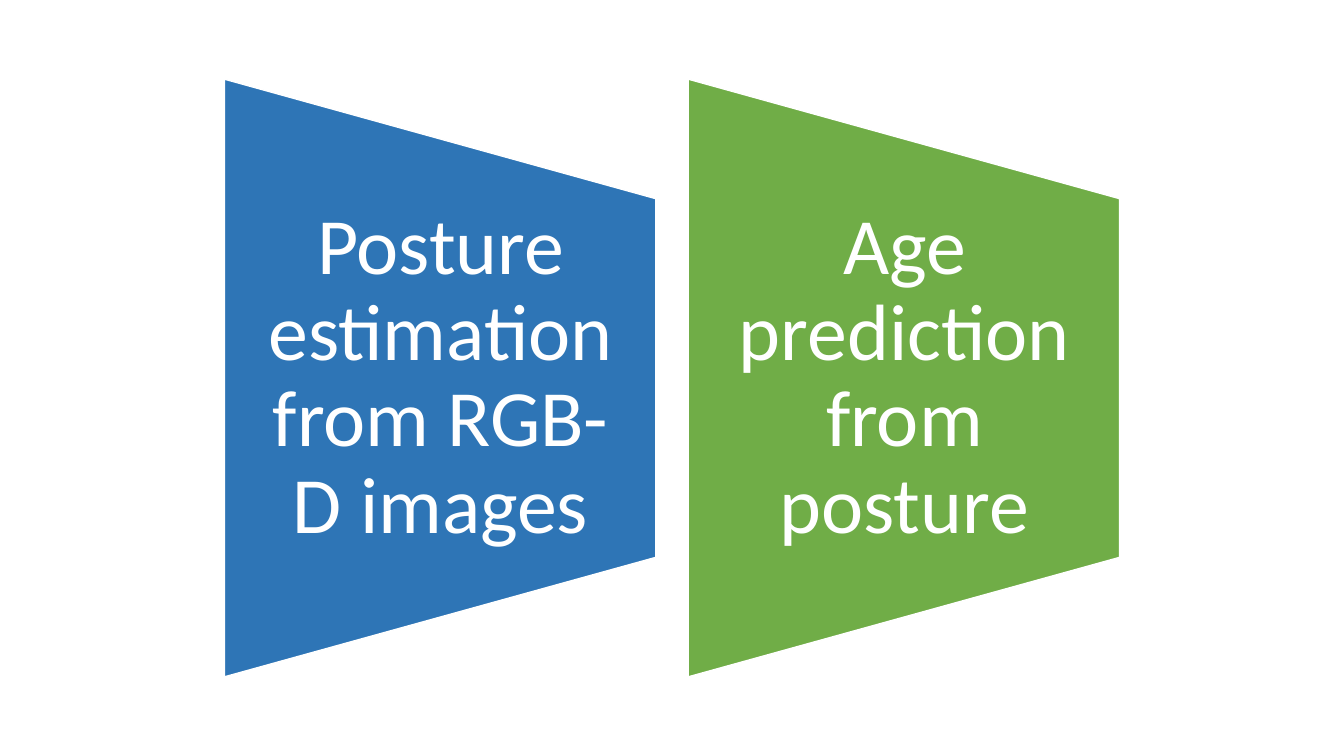
from pptx import Presentation
from pptx.dml.color import RGBColor
from pptx.enum.shapes import MSO_SHAPE
from pptx.enum.text import MSO_ANCHOR, PP_ALIGN
from pptx.util import Inches, Pt

TRAPEZOID = MSO_SHAPE.FLOWCHART_MANUAL_OPERATION
MIDDLE = MSO_ANCHOR.MIDDLE
CENTER = PP_ALIGN.CENTER

WHITE = RGBColor(0xFF, 0xFF, 0xFF)
BLUE = RGBColor(0x2E, 0x75, 0xB6)
GREEN = RGBColor(0x70, 0xAD, 0x47)

SLIDE_WIDTH, SLIDE_HEIGHT = Inches(13.33), Inches(7.5)
PANEL_WIDTH, PANEL_HEIGHT = Inches(4.28), Inches(5.93)
PANEL_PITCH = Inches(4.6)
TEXT_SHARE = 0.6

PANELS = [
    ("Posture estimation from RGB-D images", BLUE),
    ("Age prediction from posture", GREEN),
]


def add_panel(page, left, top, width, height, wording, color):
    """Fill the given box with a trapezoid narrowing rightwards and its text."""
    shift = (height - width) // 2
    trapezoid = page.shapes.add_shape(
        TRAPEZOID, left - shift, top + shift, height, width)
    trapezoid.rotation = 270
    trapezoid.shadow.inherit = False
    trapezoid.fill.solid()
    trapezoid.fill.fore_color.rgb = color
    trapezoid.line.color.rgb = WHITE
    trapezoid.line.width = Pt(1)

    text_height = int(height * TEXT_SHARE)
    box = page.shapes.add_textbox(
        left, top + (height - text_height) // 2, width, text_height)
    frame = box.text_frame
    frame.word_wrap = True
    frame.vertical_anchor = MIDDLE
    frame.margin_left, frame.margin_right = Inches(0.4), Inches(0.39)
    frame.margin_top = frame.margin_bottom = 0
    para = frame.paragraphs[0]
    para.text = wording
    para.alignment = CENTER
    para.line_spacing = 0.9
    para.font.name = "Calibri"
    para.font.size = Pt(57)
    para.font.color.rgb = WHITE


def add_panels_slide(deck):
    """Add a slide with the panels side by side, centred on the page."""
    page = deck.slides.add_slide(deck.slide_layouts[6])
    row_width = PANEL_PITCH * (len(PANELS) - 1) + PANEL_WIDTH
    left = (SLIDE_WIDTH - row_width) // 2
    top = (SLIDE_HEIGHT - PANEL_HEIGHT) // 2
    for column, (wording, color) in enumerate(PANELS):
        add_panel(page, left + column * PANEL_PITCH, top,
                  PANEL_WIDTH, PANEL_HEIGHT, wording, color)


def main():
    """Build the deck and save it."""
    deck = Presentation()
    deck.slide_width, deck.slide_height = SLIDE_WIDTH, SLIDE_HEIGHT
    add_panels_slide(deck)
    deck.save("out.pptx")


if __name__ == "__main__":
    main()
